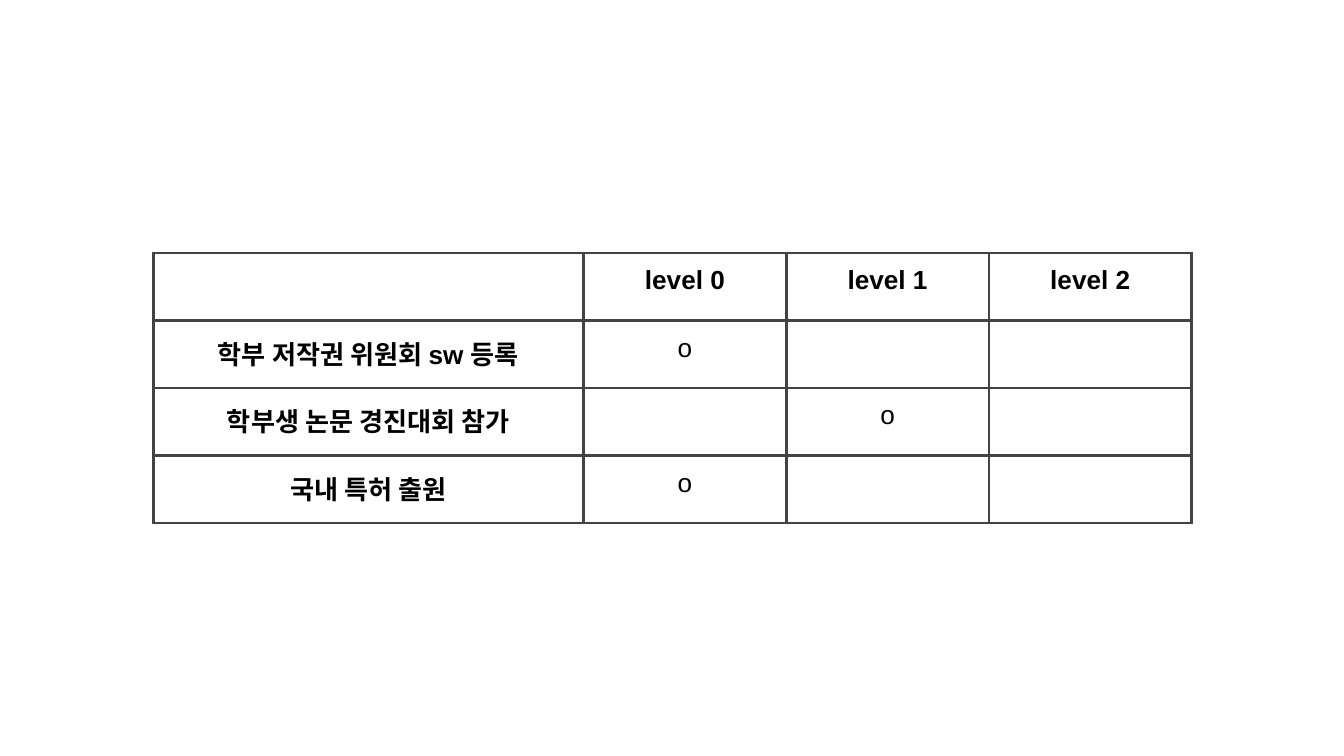
from dataclasses import dataclass

import pptx
import pptx.dml.color
import pptx.enum.text
import pptx.oxml
import pptx.oxml.ns
import pptx.util
from pptx.util import Cm


@dataclass(frozen=True)
class Theme:
    font: str = "Arial"
    text_size: float = 14
    text_color: str = "000000"
    border_color: str = "434343"
    border_width: float = 1.5


THEME = Theme()

LEVELS = ["level 0", "level 1", "level 2"]
ACTIVITIES = [
    ("학부 저작권 위원회 sw 등록", 0),
    ("학부생 논문 경진대회 참가", 1),
    ("국내 특허 출원", 0),
]


def add_borders(cell):
    properties = cell._tc.get_or_add_tcPr()
    width = pptx.util.Pt(THEME.border_width)
    for position, side in enumerate(("lnL", "lnR", "lnT", "lnB")):
        border = pptx.oxml.parse_xml(
            f'<a:{side} {pptx.oxml.ns.nsdecls("a")} w="{width}">'
            f'<a:solidFill><a:srgbClr val="{THEME.border_color}"/></a:solidFill>'
            f'<a:prstDash val="solid"/></a:{side}>'
        )
        properties.insert(position, border)


def fill_cell(cell, text, bold):
    cell.fill.background()
    cell.margin_left = cell.margin_right = Cm(0.25)
    cell.margin_top = cell.margin_bottom = Cm(0.25)
    add_borders(cell)
    if not text:
        return
    paragraph = cell.text_frame.paragraphs[0]
    paragraph.alignment = pptx.enum.text.PP_ALIGN.CENTER
    run = paragraph.add_run()
    run.text = text
    run.font.name = THEME.font
    run.font.size = pptx.util.Pt(THEME.text_size)
    run.font.bold = bold
    run.font.color.rgb = pptx.dml.color.RGBColor.from_string(THEME.text_color)


def add_level_table(slide, left, top, width, height):
    rows = [[""] + LEVELS]
    for activity, reached in ACTIVITIES:
        marks = ["o" if level == reached else "" for level in range(len(LEVELS))]
        rows.append([activity] + marks)

    level_table = slide.shapes.add_table(
        len(rows), len(rows[0]), left, top, width, height
    ).table
    level_table.first_row = False
    level_table.horz_banding = False

    level_width = Cm(3.83)
    level_table.columns[0].width = width - level_width * len(LEVELS)
    for column in range(1, len(rows[0])):
        level_table.columns[column].width = level_width

    for row, texts in enumerate(rows):
        for column, text in enumerate(texts):
            is_heading = row == 0 or column == 0
            fill_cell(level_table.cell(row, column), text, is_heading)


def main():
    presentation = pptx.Presentation()
    presentation.slide_width = Cm(25.4)
    presentation.slide_height = Cm(14.29)
    slide = presentation.slides.add_slide(presentation.slide_layouts[6])
    add_level_table(slide, Cm(2.9), Cm(4.78), Cm(19.62), Cm(4.88))
    presentation.save("out.pptx")


if __name__ == "__main__":
    main()
